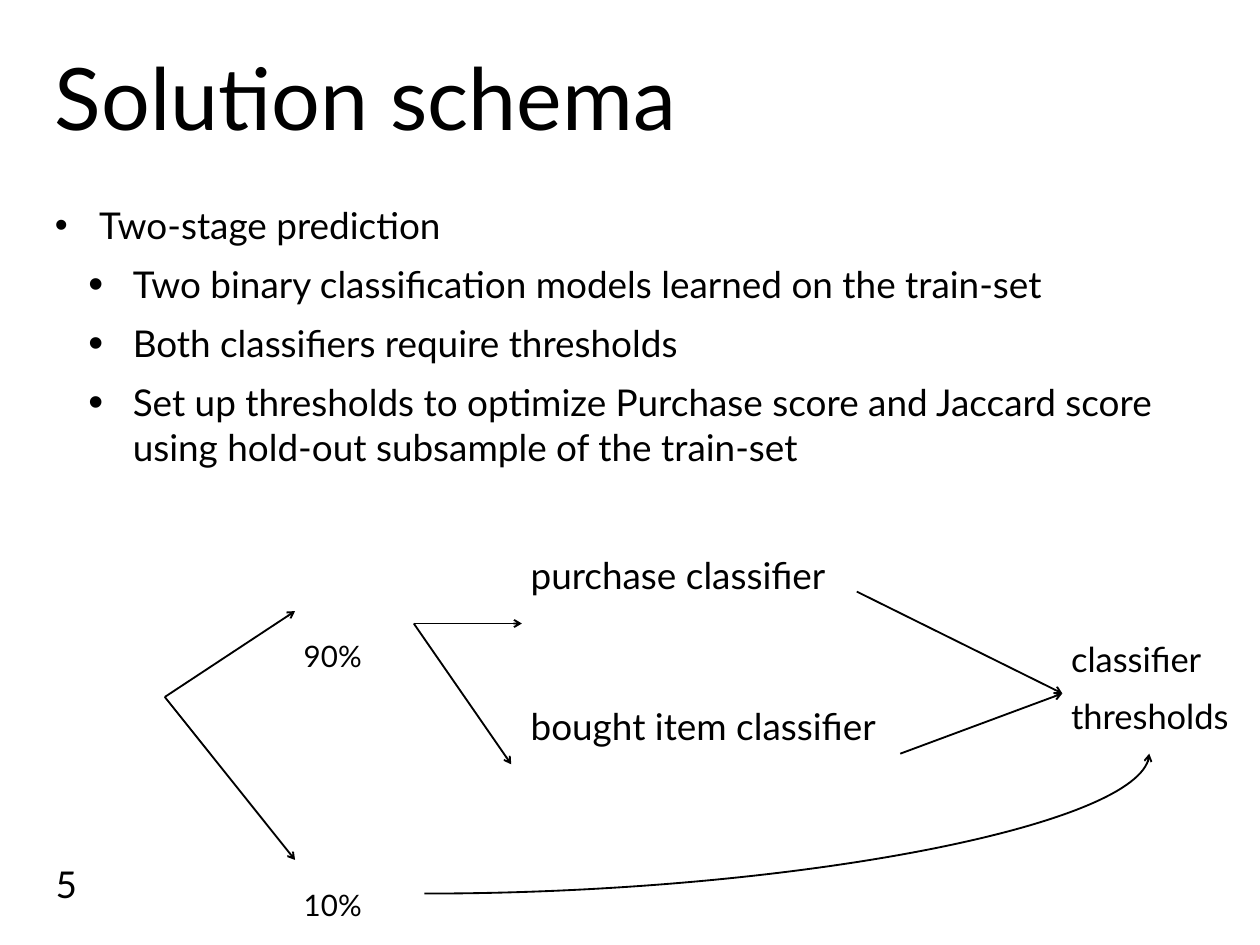
"""Builds the Solution schema slide with its two-stage flow."""
from lxml.etree import SubElement
from pptx import Presentation
from pptx.dml.color import RGBColor
from pptx.enum.shapes import MSO_CONNECTOR, MSO_SHAPE
from pptx.enum.text import MSO_ANCHOR, PP_ALIGN
from pptx.oxml.ns import qn
from pptx.util import Inches, Pt

HUES = {"ink": "000000", "paper": "FFFFFF"}
FACE = "Lato"
TITLE = "Solution schema"
NUMBER = "5"
POINTS = [
    (0, "Two-stage prediction"),
    (1, "Two binary classification models learned on the train-set"),
    (1, "Both classifiers require thresholds"),
    (1, "Set up thresholds to optimize Purchase score and Jaccard score\v"
        "using hold-out subsample of the train-set"),
]
LEVELS = [{"left": 0.5, "size": None, "space": 1.5},
          {"left": 0.88, "size": 115, "space": 1.0}]
HANG = 0.5
LABELS = {
    "buy": (["purchase classifier"], 30, (5.89, 6.19, 3.66, 0.73)),
    "item": (["bought item classifier"], 30, (5.89, 7.9, 4.15, 0.73)),
    "train": (["90%"], 24, (3.33, 7.16, 1.83, 0.73)),
    "hold": (["10%"], 24, (3.33, 9.97, 1.83, 0.73)),
    "limit": (["classifier", "thresholds"], 28, (11.99, 7.16, 1.95, 1.34)),
}
DATA, MODEL, GOAL = (1.86, 7.87), (4.67, 7.04), (11.99, 7.83)
ARROWS = [
    (DATA, (3.33, 6.9), None),
    (DATA, (3.33, 9.71), None),
    (MODEL, (5.89, 7.04), None),
    (MODEL, (5.77, 8.63), None),
    ((9.67, 6.68), GOAL, "limit"),
    ((10.16, 8.51), GOAL, "limit"),
]
CURVE = ((4.79, 10.09), (12.97, 8.51))


def color(name):
    return RGBColor.from_string(HUES[name])


def apply(thing, style):
    for name, value in style.items():
        setattr(thing, name, value)


def fill_text(shape, lines, size, pads, wrap=True, gap=0, anchor=MSO_ANCHOR.TOP):
    frame = shape.text_frame
    left, top, right, low = map(Inches, pads)
    apply(frame, {"margin_left": left, "margin_top": top, "margin_right": right,
                  "margin_bottom": low, "word_wrap": wrap, "vertical_anchor": anchor})
    for i, line in enumerate(lines):
        para = frame.add_paragraph() if i else frame.paragraphs[0]
        apply(para, {"text": line, "alignment": PP_ALIGN.LEFT,
                     "space_before": Pt(gap if i else 0), "space_after": Pt(gap)})
        for run in para.runs:
            apply(run.font, {"size": Pt(size), "name": FACE})
            run.font.color.rgb = color("ink")
    return frame.paragraphs


def add_text(slide, box, *args, **style):
    shape = slide.shapes.add_textbox(*map(Inches, box))
    return fill_text(shape, *args, **style)


def add_bullet(para, level):
    rule = LEVELS[level]
    apply(para, {"level": level, "line_spacing": rule["space"]})
    props = para._p.get_or_add_pPr()
    props.set("marL", str(Inches(rule["left"])))
    props.set("indent", str(-Inches(HANG)))
    if rule["size"]:
        SubElement(props, qn("a:buSzPct")).set("val", str(rule["size"] * 1000))
    SubElement(props, qn("a:buFont")).set("typeface", "Arial")
    SubElement(props, qn("a:buChar")).set("char", "•")


def add_label(slide, lines, size, box):
    shape = slide.shapes.add_shape(MSO_SHAPE.RECTANGLE, *map(Inches, box))
    shape.shadow.inherit = False
    shape.fill.solid()
    shape.fill.fore_color.rgb = color("paper")
    shape.line.fill.background()
    fill_text(shape, lines, size, (0.1, 0.05, 0.1, 0.05), wrap=False, gap=6)
    return shape


def add_arrow(slide, start, end, kind=MSO_CONNECTOR.STRAIGHT):
    arrow = slide.shapes.add_connector(kind, *map(Inches, start + end))
    arrow.line.width = Pt(1.5)
    arrow.line.color.rgb = color("ink")
    SubElement(arrow.line._get_or_add_ln(), qn("a:tailEnd")).set("type", "arrow")
    SubElement(arrow._element.spPr, qn("a:effectLst"))
    return arrow


def main():
    deck = Presentation()
    apply(deck, {"slide_width": Inches(14.22), "slide_height": Inches(10.67)})
    slide = deck.slides.add_slide(deck.slide_layouts[6])

    lines = [line for _, line in POINTS]
    paras = add_text(slide, (0.52, 2.04, 13.18, 3.54), lines, 30,
                     (0.1, 0, 0.1, 0.05), gap=6)
    for para, (level, _) in zip(paras, POINTS):
        add_bullet(para, level)
    head = add_text(slide, (0.52, 0.53, 13.18, 1.12), [TITLE], 70,
                    (0.1, 0.08, 0.1, 0.08))
    head[0].line_spacing = Pt(76)
    add_text(slide, (0.53, 9.77, 0.9, 0.42), [NUMBER], 30,
             (0.1, 0.05, 0.1, 0.05), anchor=MSO_ANCHOR.MIDDLE)

    boxes = {key: add_label(slide, *label) for key, label in LABELS.items()}
    for start, end, goal in ARROWS:
        arrow = add_arrow(slide, start, end)
        if goal:
            arrow.end_connect(boxes[goal], 1)
    curve = add_arrow(slide, *CURVE, kind=MSO_CONNECTOR.CURVE)
    curve._element.spPr.find(qn("a:prstGeom")).set("prst", "curvedConnector2")
    deck.save("out.pptx")


if __name__ == "__main__":
    main()
